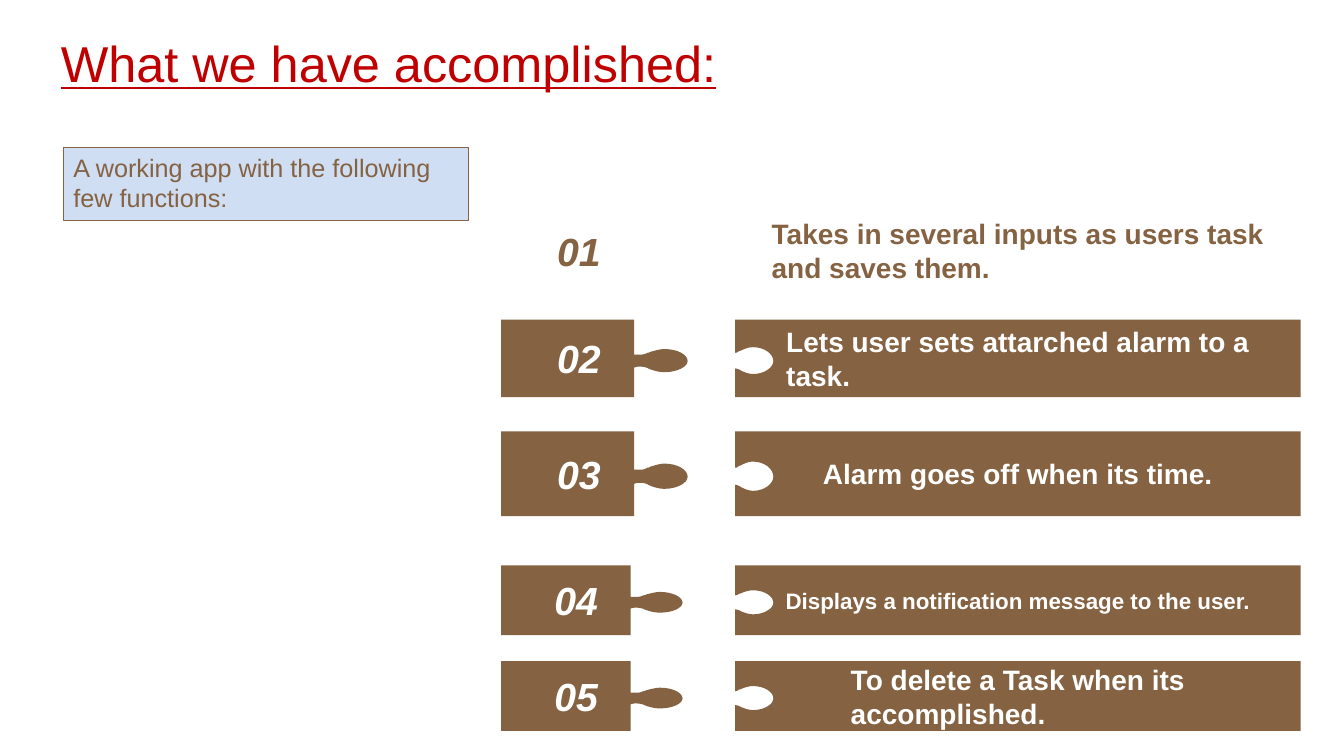
from pptx import Presentation
from pptx import util as u
from pptx.dml.color import RGBColor
from pptx.enum import shapes, text

COLORS = {
    "title": "C00000",
    "brown": "856241",
    "white": "FFFFFF",
    "callout": "CFDEF3",
}
FONT = "Arial"

# Banner outlines in inches, drawn for a height of 0.84
DESIGN_HEIGHT = 0.84
NUMBER_WIDTH = 1.85
MESSAGE_WIDTH = 5.61
NECK = 1.32
KNOB = [
    (NECK, 0.38), (1.34, 0.38), (1.35, 0.38), (1.39, 0.38),
    (1.41, 0.38), (1.44, 0.37), (1.45, 0.36),
    (1.46, 0.36), (1.47, 0.36), (1.48, 0.35),
    (1.52, 0.34), (1.57, 0.32), (1.62, 0.32),
    (1.75, 0.32), (1.85, 0.38), (1.85, 0.45),
    (1.85, 0.51), (1.75, 0.57), (1.62, 0.57),
    (1.55, 0.57), (1.48, 0.54), (1.46, 0.53),
    (1.45, 0.52), (1.41, 0.51), (1.38, 0.51),
    (1.35, 0.51), (1.35, 0.51), (NECK, 0.52),
]
SOCKET = [
    (0, 0.53), (0.02, 0.53), (0.03, 0.54), (0.04, 0.54),
    (0.05, 0.55), (0.12, 0.59), (0.18, 0.59),
    (0.29, 0.59), (0.38, 0.52), (0.38, 0.45),
    (0.38, 0.37), (0.29, 0.3), (0.18, 0.3),
    (0.13, 0.3), (0.09, 0.32), (0.05, 0.34),
    (0.05, 0.34), (0.04, 0.34), (0.03, 0.35),
    (0.02, 0.36), (0.01, 0.36), (0, 0.36),
]

# Number, message, message size, top, height, number width, fill, text colour
ROWS = [
    ("01", "Takes in several inputs as users task and saves them.",
     20, 2.08, 0.81, 1.85, "white", "brown"),
    ("02", "Lets user sets attarched alarm to a task.",
     20, 3.17, 0.77, 1.85, "brown", "white"),
    ("03", "Alarm goes off when its time.",
     20, 4.28, 0.84, 1.85, "brown", "white"),
    ("04", "Displays a notification message to the user.",
     16, 5.61, 0.69, 1.8, "brown", "white"),
    ("05", "To delete a Task when its accomplished.",
     20, 6.56, 0.69, 1.8, "brown", "white"),
]


def rgb(name):
    return RGBColor.from_string(COLORS[name])


def set_attributes(target, values):
    for name, value in values.items():
        setattr(target, name, value)


def write(shape, words, color, font, frame, align=text.PP_ALIGN.LEFT):
    text_frame = shape.text_frame
    set_attributes(text_frame, {"word_wrap": True, **frame})
    paragraph = text_frame.paragraphs[0]
    paragraph.alignment = align
    run = paragraph.add_run()
    run.text = words
    set_attributes(run.font, {"name": FONT, **font})
    run.font.color.rgb = rgb(color)


def flatten(curve, steps=8):
    """Turn a chain of cubic curves into points."""
    points = [curve[0]]
    for first in range(0, len(curve) - 1, 3):
        controls = curve[first:first + 4]
        for step in range(1, steps + 1):
            t = step / steps
            weights = ((1 - t) ** 3, 3 * t * (1 - t) ** 2,
                       3 * t * t * (1 - t), t ** 3)
            points.append(tuple(
                sum(weight * control[axis]
                    for weight, control in zip(weights, controls))
                for axis in (0, 1)))
    return points


def add_outline(slide, points, left, top, scale_x, scale_y, fill):
    scaled = [(u.Inches(x * scale_x), u.Inches(y * scale_y)) for x, y in points]
    builder = slide.shapes.build_freeform(*scaled[0])
    builder.add_line_segments(scaled[1:], close=True)
    shape = builder.convert_to_shape(u.Inches(left), u.Inches(top))
    shape.shadow.inherit = False
    shape.fill.solid()
    shape.fill.fore_color.rgb = rgb(fill)
    shape.line.fill.background()
    return shape


def add_title(slide, left, top, width, height):
    title = slide.shapes.title
    set_attributes(title, {
        "left": u.Inches(left), "top": u.Inches(top),
        "width": u.Inches(width), "height": u.Inches(height)})
    write(title, "What we have accomplished:", "title",
          {"size": u.Pt(36), "underline": True},
          {"vertical_anchor": text.MSO_ANCHOR.MIDDLE,
           "auto_size": text.MSO_AUTO_SIZE.NONE},
          text.PP_ALIGN.CENTER)


def add_callout(slide, left, top, width, height):
    box = slide.shapes.add_shape(
        shapes.MSO_SHAPE.RECTANGLE, u.Inches(left), u.Inches(top),
        u.Inches(width), u.Inches(height))
    box.shadow.inherit = False
    box.fill.solid()
    box.fill.fore_color.rgb = rgb("callout")
    box.line.color.rgb = rgb("brown")
    box.line.width = u.Pt(0.75)
    write(box, "A working app with the following few functions:", "brown",
          {"size": u.Pt(18)}, {"vertical_anchor": text.MSO_ANCHOR.TOP})


def add_row(slide, left, row):
    number, message, size, top, height, number_width, fill, color = row
    scale_y = height / DESIGN_HEIGHT
    middle = {"vertical_anchor": text.MSO_ANCHOR.MIDDLE}

    # Number piece with its knob
    knob_points = [(0, 0), (NECK, 0), *flatten(KNOB),
                   (NECK, DESIGN_HEIGHT), (0, DESIGN_HEIGHT)]
    number_piece = add_outline(slide, knob_points, left, top,
                               number_width / NUMBER_WIDTH, scale_y, fill)
    write(number_piece, number, color,
          {"size": u.Pt(28), "bold": True, "italic": True},
          {"margin_left": 0, "margin_right": u.Inches(0.31), **middle},
          text.PP_ALIGN.CENTER)

    # Message piece with its socket
    socket_points = [(0, 0), (MESSAGE_WIDTH, 0), (MESSAGE_WIDTH, DESIGN_HEIGHT),
                     (0, DESIGN_HEIGHT), *flatten(SOCKET)]
    message_piece = add_outline(slide, socket_points, left + 2.32, top,
                                1, scale_y, fill)
    write(message_piece, message, color, {"size": u.Pt(size), "bold": True},
          {"margin_left": u.Inches(0.3), "margin_right": u.Inches(0.3), **middle})
    # Centre the left-aligned block of lines
    message_piece.text_frame._txBody.bodyPr.set("anchorCtr", "1")

    slide.shapes.add_group_shape([number_piece, message_piece])


def main():
    presentation = Presentation()
    presentation.slide_width = u.Inches(13.33)
    presentation.slide_height = u.Inches(7.5)
    slide = presentation.slides.add_slide(presentation.slide_layouts[5])
    slide.background.fill.solid()
    slide.background.fill.fore_color.rgb = rgb("white")

    add_title(slide, 0.23, 0.05, 7.25, 1.14)
    add_callout(slide, 0.63, 1.46, 4.02, 0.73)
    for row in ROWS:
        add_row(slide, 4.97, row)

    presentation.save("out.pptx")


if __name__ == "__main__":
    main()
